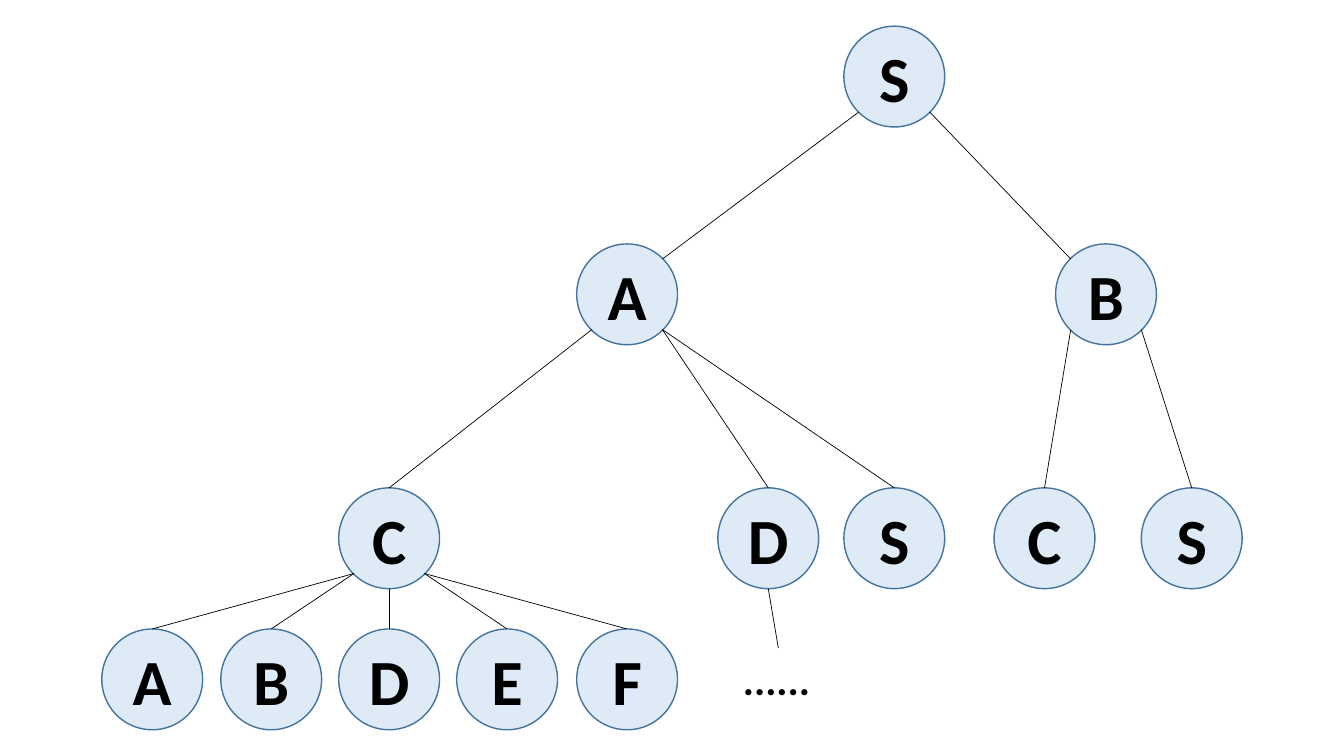
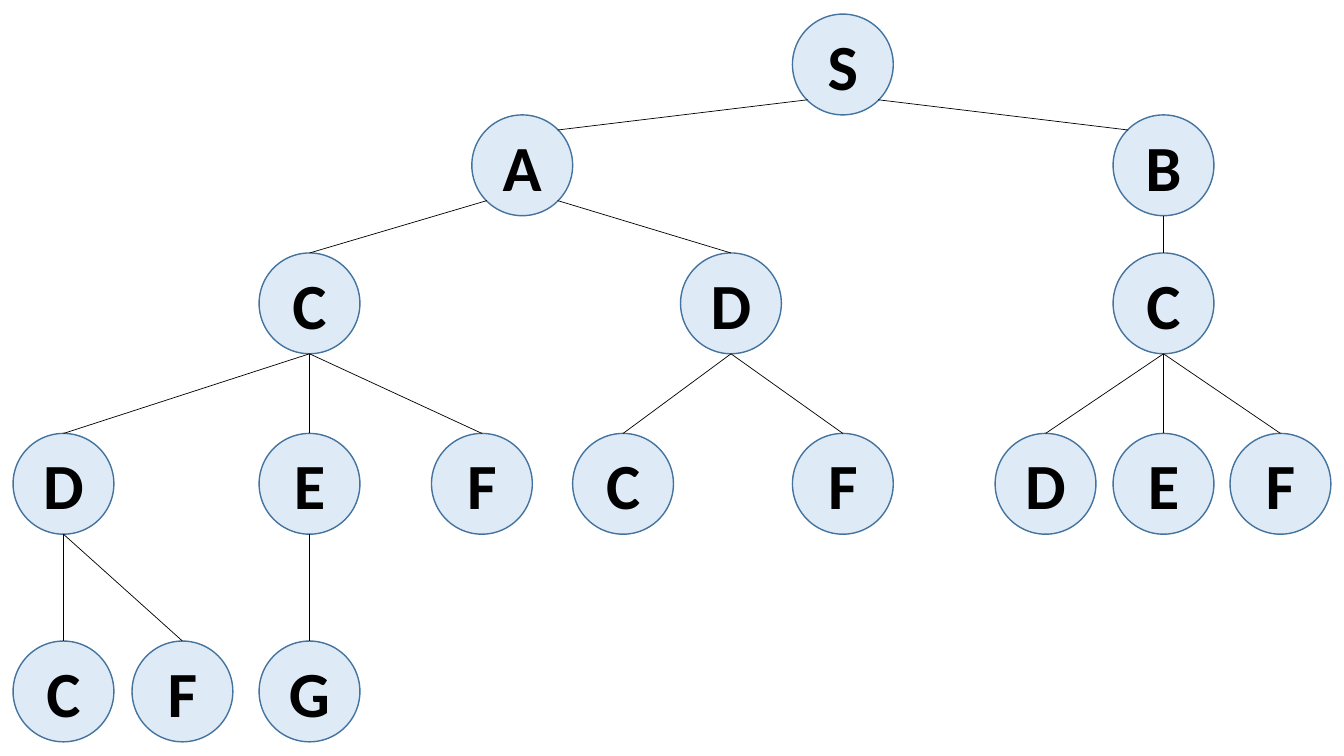
from dataclasses import dataclass

from lxml import etree
from pptx import Presentation
from pptx.dml.color import RGBColor
from pptx.enum.shapes import MSO_CONNECTOR, MSO_SHAPE
from pptx.enum.text import MSO_ANCHOR, MSO_AUTO_SIZE, PP_ALIGN
from pptx.oxml.ns import qn
from pptx.shapes.autoshape import Shape
from pptx.slide import Slide
from pptx.text.text import TextFrame
from pptx.util import Inches, Pt

ELLIPSE = MSO_SHAPE.OVAL
STRAIGHT = MSO_CONNECTOR.STRAIGHT
MIDDLE = MSO_ANCHOR.MIDDLE
CENTER = PP_ALIGN.CENTER
LEFT = PP_ALIGN.LEFT
FIT_SHAPE = MSO_AUTO_SIZE.SHAPE_TO_FIT_TEXT

FONT = "Calibri"
NODE_FILL = "DEEBF7"
NODE_LINE = "43739E"
BLACK = "000000"
BLANK_LAYOUT = 6
DIAMETER = 1.0

TOP, TOP_LEFT, BOTTOM_LEFT, BOTTOM, BOTTOM_RIGHT, TOP_RIGHT = 0, 1, 3, 4, 5, 7
SITES = {
    TOP: (0.5, 0.0),
    TOP_LEFT: (0.15, 0.15),
    BOTTOM_LEFT: (0.15, 0.85),
    BOTTOM: (0.5, 1.0),
    BOTTOM_RIGHT: (0.85, 0.85),
    TOP_RIGHT: (0.85, 0.15),
}


@dataclass(frozen=True)
class Node:
    label: str
    left: float
    children: tuple["Node", ...] = ()
    continues: bool = False


@dataclass(frozen=True)
class Tree:
    level_tops: tuple[float, ...]
    corner_levels: int
    root: Node


TREES = (
    Tree(
        (0.26, 2.42, 4.84, 6.24),
        3,
        Node("S", 8.37, (
            Node("A", 5.72, (
                Node("C", 3.36, (
                    Node("A", 1.01),
                    Node("B", 2.19),
                    Node("D", 3.36),
                    Node("E", 4.53),
                    Node("F", 5.72),
                )),
                Node("D", 7.12, continues=True),
                Node("S", 8.37),
            )),
            Node("B", 10.47, (Node("C", 9.86), Node("S", 11.32))),
        )),
    ),
    Tree(
        (0.14, 1.14, 2.51, 4.3, 6.36),
        2,
        Node("S", 7.86, (
            Node("A", 4.68, (
                Node("C", 2.57, (
                    Node("D", 0.13, (Node("C", 0.13), Node("F", 1.31))),
                    Node("E", 2.57, (Node("G", 2.57),)),
                    Node("F", 4.28),
                )),
                Node("D", 6.75, (Node("C", 5.68), Node("F", 7.86))),
            )),
            Node("B", 11.04, (
                Node("C", 11.04, (
                    Node("D", 9.87),
                    Node("E", 11.04),
                    Node("F", 12.2),
                )),
            )),
        )),
    ),
)


def color(value: str) -> RGBColor:
    return RGBColor.from_string(value)


def write_text(frame: TextFrame, text: str, size: int, alignment: PP_ALIGN) -> None:
    frame.word_wrap = False
    paragraph = frame.paragraphs[0]
    paragraph.alignment = alignment
    run = paragraph.add_run()
    run.text = text
    run.font.name = FONT
    run.font.size = Pt(size)
    run.font.bold = True
    run.font.color.rgb = color(BLACK)


def draw_circle(slide: Slide, label: str, left: float, top: float) -> Shape:
    shape = slide.shapes.add_shape(
        ELLIPSE, Inches(left), Inches(top), Inches(DIAMETER), Inches(DIAMETER)
    )
    shape.shadow.inherit = False
    shape.fill.solid()
    shape.fill.fore_color.rgb = color(NODE_FILL)
    shape.line.color.rgb = color(NODE_LINE)
    shape.line.width = Pt(1)
    shape.text_frame.vertical_anchor = MIDDLE
    write_text(shape.text_frame, label, 46, CENTER)
    return shape


def site_position(shape: Shape, site: int) -> tuple[int, int]:
    across, down = SITES[site]
    return (
        round(shape.left + across * shape.width),
        round(shape.top + down * shape.height),
    )


def draw_branch(
    slide: Slide, parent: Shape, exit_site: int, child: Shape, entry_site: int
) -> None:
    connector = slide.shapes.add_connector(
        STRAIGHT, *site_position(parent, exit_site), *site_position(child, entry_site)
    )
    connector.line.color.rgb = color(BLACK)
    connector.line.width = Pt(0.5)
    element = connector.element
    etree.SubElement(element.spPr, qn("a:effectLst"))
    properties = element.find(f".//{qn('p:cNvCxnSpPr')}")
    for tag, shape, site in (
        ("a:stCxn", parent, exit_site),
        ("a:endCxn", child, entry_site),
    ):
        etree.SubElement(properties, qn(tag), id=str(shape.shape_id), idx=str(site))


def branch_sites(parent: Node, child: Node, tree: Tree, level: int) -> tuple[int, int]:
    exit_site, entry_site = BOTTOM, TOP
    if level < tree.corner_levels and child.left != parent.left:
        leftward = child.left < parent.left
        exit_site = BOTTOM_LEFT if leftward else BOTTOM_RIGHT
        if level == 0:
            entry_site = TOP_RIGHT if leftward else TOP_LEFT
    return exit_site, entry_site


def draw_continuation(slide: Slide, parent: Shape) -> None:
    box = slide.shapes.add_textbox(
        parent.left + Inches(0.15), Inches(6.43), Inches(0.9), Inches(0.6)
    )
    write_text(box.text_frame, "......", 30, LEFT)
    box.text_frame.auto_size = FIT_SHAPE
    draw_branch(slide, parent, BOTTOM, box, TOP)


def draw_node(slide: Slide, tree: Tree, node: Node, level: int = 0) -> Shape:
    circle = draw_circle(slide, node.label, node.left, tree.level_tops[level])
    for child in node.children:
        child_circle = draw_node(slide, tree, child, level + 1)
        exit_site, entry_site = branch_sites(node, child, tree, level)
        draw_branch(slide, circle, exit_site, child_circle, entry_site)
    if node.continues:
        draw_continuation(slide, circle)
    return circle


def main() -> None:
    presentation = Presentation()
    presentation.slide_width = Inches(13.33)
    presentation.slide_height = Inches(7.5)
    for tree in TREES:
        slide = presentation.slides.add_slide(presentation.slide_layouts[BLANK_LAYOUT])
        draw_node(slide, tree, tree.root)
    presentation.save("out.pptx")


if __name__ == "__main__":
    main()
